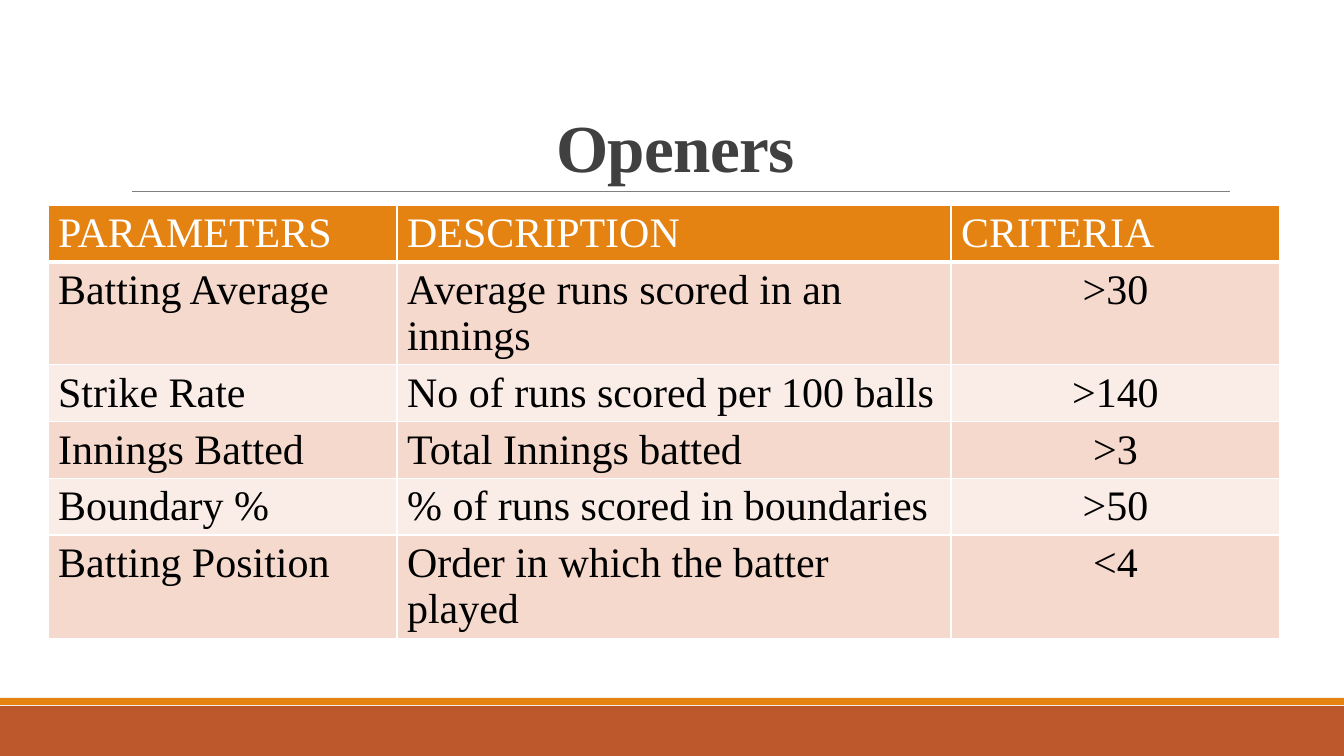
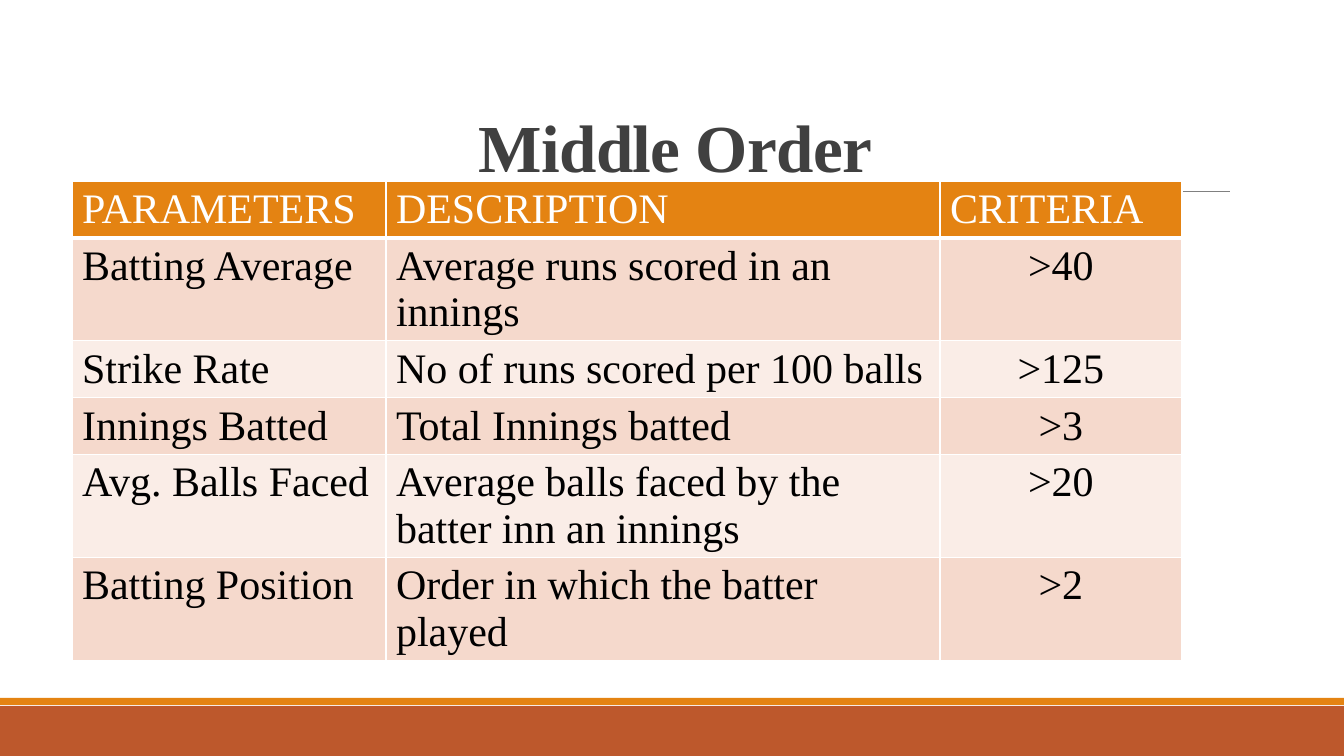
from lxml.etree import SubElement
from pptx import Presentation
from pptx.dml.color import RGBColor
from pptx.enum.shapes import MSO_CONNECTOR, MSO_SHAPE
from pptx.enum.text import MSO_ANCHOR, MSO_AUTO_SIZE, PP_ALIGN
from pptx.oxml import parse_xml
from pptx.oxml.ns import nsdecls, qn
from pptx.util import Emu, Pt

FONT = "Times New Roman"
WHITE = RGBColor(0xFF, 0xFF, 0xFF)
BLACK = RGBColor(0x00, 0x00, 0x00)
CHARCOAL = RGBColor(0x40, 0x40, 0x40)
GREY = RGBColor(0x80, 0x80, 0x80)
ORANGE = RGBColor(0xE4, 0x83, 0x12)
RUST = RGBColor(0xBD, 0x58, 0x2C)
ROW_FILLS = (RGBColor(0xF5, 0xD9, 0xCC), RGBColor(0xFA, 0xED, 0xE7))

WIDTH, HEIGHT = 1344, 756
ROW_HEIGHT = 41
TITLE_ONLY = 5

HEADINGS = ("PARAMETERS", "DESCRIPTION", "CRITERIA")
AVERAGE = ("Batting Average", "Average runs scored in an innings")
STRIKE_RATE = ("Strike Rate", "No of runs scored per 100 balls")
INNINGS = ("Innings Batted", "Total Innings batted")
BOUNDARY = ("Boundary %", "% of runs scored in boundaries")
BALLS_FACED = ("Avg. Balls Faced", "Average balls faced by the batter inn an innings")
POSITION = ("Batting Position", "Order in which the batter played")


def px(length):
    """Turn px, at 100.8 to the inch, into EMU."""
    return Emu(round(length * 914400 / 100.8))


class CriteriaDeck:
    def __init__(self):
        self.deck = Presentation()
        self.deck.slide_width, self.deck.slide_height = px(WIDTH), px(HEIGHT)
        self.page = None

    def add_page(self, title):
        self.page = self.deck.slides.add_slide(self.deck.slide_layouts[TITLE_ONLY])
        self.band(706, 50, RUST)
        self.band(698, 7, ORANGE)
        self.rule(132, 1230, 191)
        self.title(title)

    def band(self, top, height, color):
        box = self.page.shapes.add_shape(
            MSO_SHAPE.RECTANGLE, 0, px(top), px(WIDTH), px(height))
        box.shadow.inherit = False
        box.fill.solid()
        box.fill.fore_color.rgb = color
        box.line.fill.background()

    def rule(self, left, right, y):
        rule = self.page.shapes.add_connector(
            MSO_CONNECTOR.STRAIGHT, px(left), px(y), px(right), px(y))
        rule.line.color.rgb = GREY
        rule.line.width = Pt(0.5)
        SubElement(rule._element.spPr, qn("a:effectLst"))

    def title(self, text):
        box = self.page.shapes.title
        box.left, box.top, box.width, box.height = map(px, (121, 31, 1109, 160))
        frame = box.text_frame
        frame.text = text
        frame.word_wrap = True
        frame.auto_size = MSO_AUTO_SIZE.NONE
        frame.vertical_anchor = MSO_ANCHOR.BOTTOM
        para = frame.paragraphs[0]
        para.line_spacing = 0.85
        self.format(para, 48, CHARCOAL, PP_ALIGN.CENTER, bold=True)
        para.runs[0]._r.get_or_add_rPr().set("spc", "-50")

    def format(self, para, size, color, align=PP_ALIGN.LEFT, bold=False):
        para.alignment = align
        for span in para.runs:
            span.font.name = FONT
            span.font.size = Pt(size)
            span.font.bold = bold
            span.font.color.rgb = color

    def borders(self, cell, bottom):
        """Draw white cell edges, 1 pt wide except for the bottom one."""
        edges = (("lnL", 1), ("lnR", 1), ("lnT", 1), ("lnB", bottom))
        for place, (edge, width) in enumerate(edges):
            cell._tc.get_or_add_tcPr().insert(place, parse_xml(
                f'<a:{edge} {nsdecls("a")} w="{Pt(width)}"><a:solidFill>'
                f'<a:srgbClr val="{WHITE}"/></a:solidFill></a:{edge}>'))

    def table(self, left, top, widths, rows):
        rows = [HEADINGS, *rows]
        table = self.page.shapes.add_table(
            len(rows), len(widths), px(left), px(top),
            px(sum(widths)), px(ROW_HEIGHT * len(rows))).table
        for column, width in zip(table.columns, widths):
            column.width = px(width)
        for r, row in enumerate(rows):
            header = r == 0
            for c, text in enumerate(row):
                cell = table.cell(r, c)
                cell.text = text
                cell.fill.solid()
                cell.fill.fore_color.rgb = ORANGE if header else ROW_FILLS[(r - 1) % 2]
                centred = c == 2 and not header
                self.format(cell.text_frame.paragraphs[0], 30,
                            WHITE if header else BLACK,
                            PP_ALIGN.CENTER if centred else PP_ALIGN.LEFT)
                self.borders(cell, bottom=3 if header else 1)


def main():
    slides = CriteriaDeck()

    slides.add_page("Openers")
    slides.table(48, 205, (349, 554, 329), [
        (*AVERAGE, ">30"),
        (*STRIKE_RATE, ">140"),
        (*INNINGS, ">3"),
        (*BOUNDARY, ">50"),
        (*POSITION, "<4"),
    ])

    slides.add_page("Middle Order")
    slides.table(72, 181, (314, 554, 242), [
        (*AVERAGE, ">40"),
        (*STRIKE_RATE, ">125"),
        (*INNINGS, ">3"),
        (*BALLS_FACED, ">20"),
        (*POSITION, ">2"),
    ])

    slides.deck.save("out.pptx")


if __name__ == "__main__":
    main()
